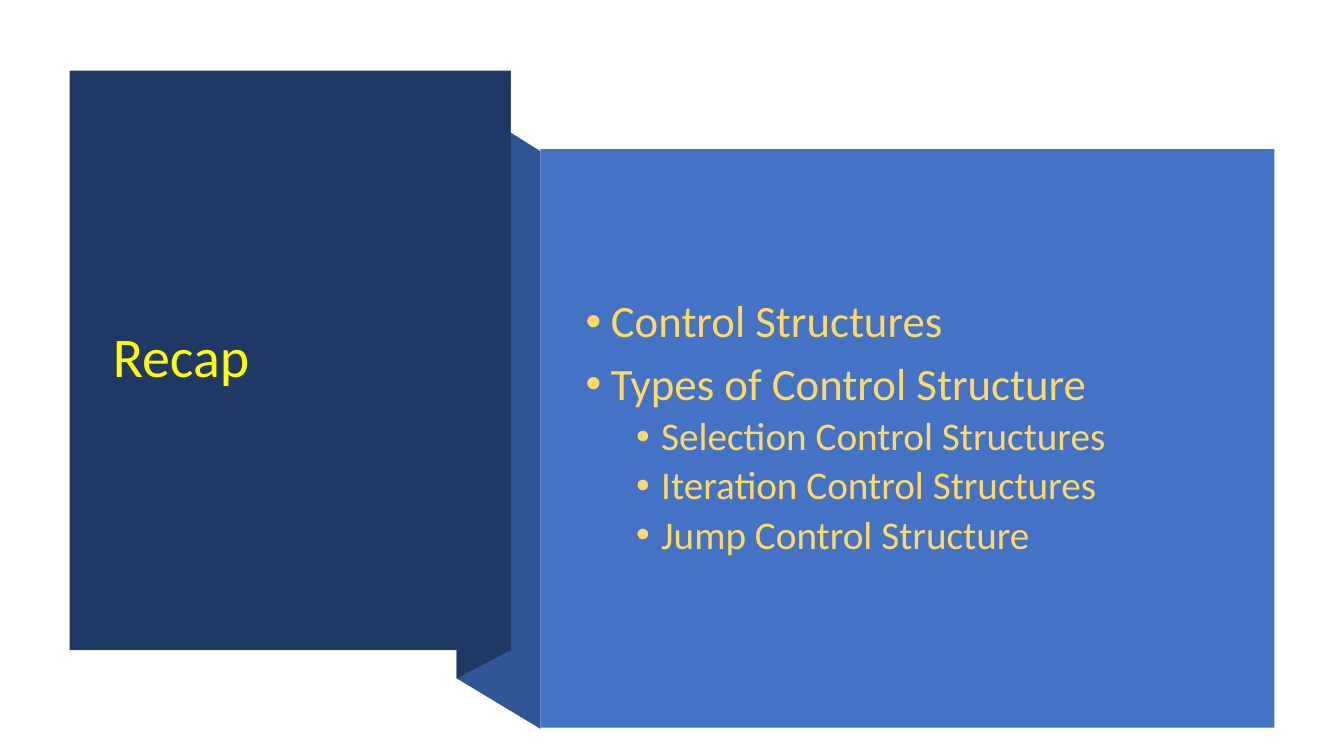
from pptx import Presentation
from pptx.dml.color import RGBColor as Rgb
from pptx.enum.shapes import MSO_SHAPE as Preset
from pptx.enum.text import MSO_ANCHOR as Anchor
from pptx.oxml.xmlchemy import OxmlElement as Element
from pptx.util import Inches, Pt

WIDTH, HEIGHT = 13.33, 7.5

COLORS = {
    "navy": "203864",
    "fold": "2F5597",
    "panel": "4472C4",
    "title": "FFFF00",
    "body": "FFD966",
}

# Edges of the ribbon, as columns and rows in inches
COLUMNS = {"left": 0.69, "back": 4.53, "front": 5.065, "panel": 5.36, "right": 12.64}
ROWS = {"top": 0.7, "back": 0.98, "panel": 1.48, "front_end": 6.45, "back_end": 6.73, "end": 7.22}

# Format of each bullet level
LEVELS = [
    {"size": 32, "margin": 0.25, "before": 10},
    {"size": 28, "margin": 0.75, "before": 5},
]
TOPICS = [
    (0, "Control Structures"),
    (0, "Types of Control Structure"),
    (1, "Selection Control Structures"),
    (1, "Iteration Control Structures"),
    (1, "Jump Control Structure"),
]


def paint(shape, color):
    shape.shadow.inherit = False
    shape.fill.solid()
    shape.fill.fore_color.rgb = Rgb.from_string(COLORS[color])
    shape.line.fill.background()


def add_fold(slide, start, end, start_rows, end_rows, color):
    """Draw a slanted strip between two columns."""
    points = [
        (start, start_rows[0]), (end, end_rows[0]),
        (end, end_rows[1]), (start, start_rows[1]),
    ]
    points = [(Inches(x), Inches(y)) for x, y in points]
    builder = slide.shapes.build_freeform(*points[0], scale=1.0)
    builder.add_line_segments(points[1:], close=True)
    paint(builder.convert_to_shape(), color)


def add_panel(slide, left, top, right, bottom, color):
    box = [Inches(value) for value in (left, top, right - left, bottom - top)]
    paint(slide.shapes.add_shape(Preset.RECTANGLE, *box), color)


def add_text_frame(slide, left, top, width, height):
    box = [Inches(value) for value in (left, top, width, height)]
    frame = slide.shapes.add_textbox(*box).text_frame
    for name, value in {"word_wrap": True, "vertical_anchor": Anchor.MIDDLE}.items():
        setattr(frame, name, value)
    return frame


def write(paragraph, text, size, color):
    paragraph.line_spacing = 0.9
    run = paragraph.add_run()
    run.text = text
    for name, value in {"name": "Calibri", "size": Pt(size)}.items():
        setattr(run.font, name, value)
    run.font.color.rgb = Rgb.from_string(COLORS[color])


def add_bullet(paragraph, margin):
    properties = paragraph._p.get_or_add_pPr()
    properties.set("marL", str(Inches(margin)))
    properties.set("indent", str(Inches(-0.25)))
    for tag, name, value in (("a:buFont", "typeface", "Arial"), ("a:buChar", "char", "•")):
        element = Element(tag)
        element.set(name, value)
        properties.append(element)


def add_topics(frame, topics):
    for index, (level, text) in enumerate(topics):
        paragraph = frame.add_paragraph() if index else frame.paragraphs[0]
        style = LEVELS[level]
        paragraph.level = level
        add_bullet(paragraph, style["margin"])
        if index:
            paragraph.space_before = Pt(style["before"])
        write(paragraph, text, style["size"], "body")


def main():
    presentation = Presentation()
    presentation.slide_width = Inches(WIDTH)
    presentation.slide_height = Inches(HEIGHT)
    slide = presentation.slides.add_slide(presentation.slide_layouts[6])

    # Folded ribbon behind the title
    back_rows = (ROWS["back"], ROWS["back_end"])
    add_fold(slide, COLUMNS["back"], COLUMNS["panel"], back_rows,
             (ROWS["panel"] + 0.02, ROWS["end"] + 0.01), "fold")
    add_fold(slide, COLUMNS["back"], COLUMNS["front"], back_rows,
             (ROWS["top"], ROWS["front_end"]), "navy")

    # Title panel
    add_panel(slide, COLUMNS["left"], ROWS["top"], COLUMNS["front"], ROWS["front_end"], "navy")
    title = add_text_frame(slide, 1.02, 1.07, 3.71, 4.99)
    write(title.paragraphs[0], "Recap", 40, "title")

    # Topics panel
    add_panel(slide, COLUMNS["panel"], ROWS["panel"], COLUMNS["right"], ROWS["end"], "panel")
    add_topics(add_text_frame(slide, 5.71, 1.88, 6.51, 4.74), TOPICS)

    presentation.save("out.pptx")


if __name__ == "__main__":
    main()
